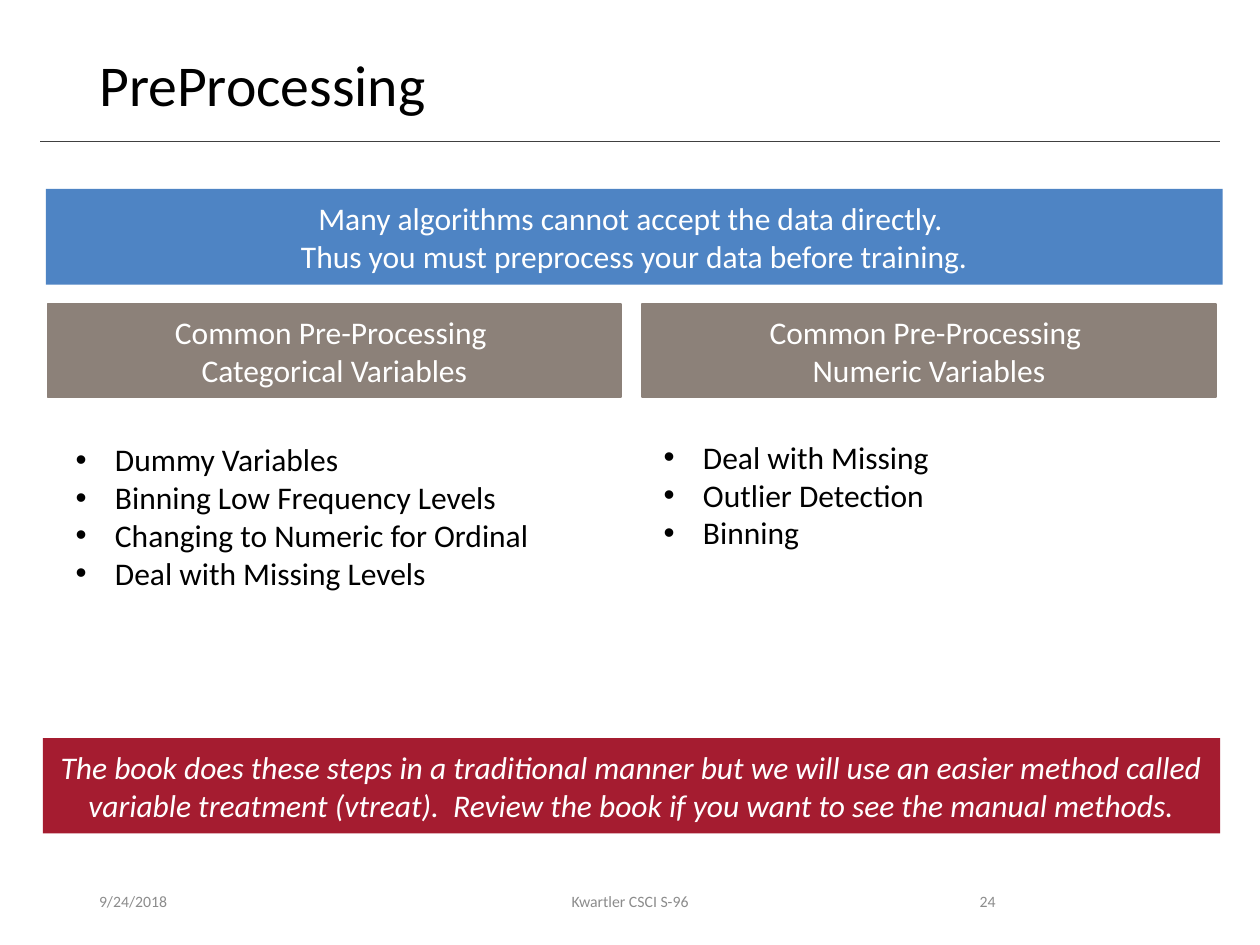
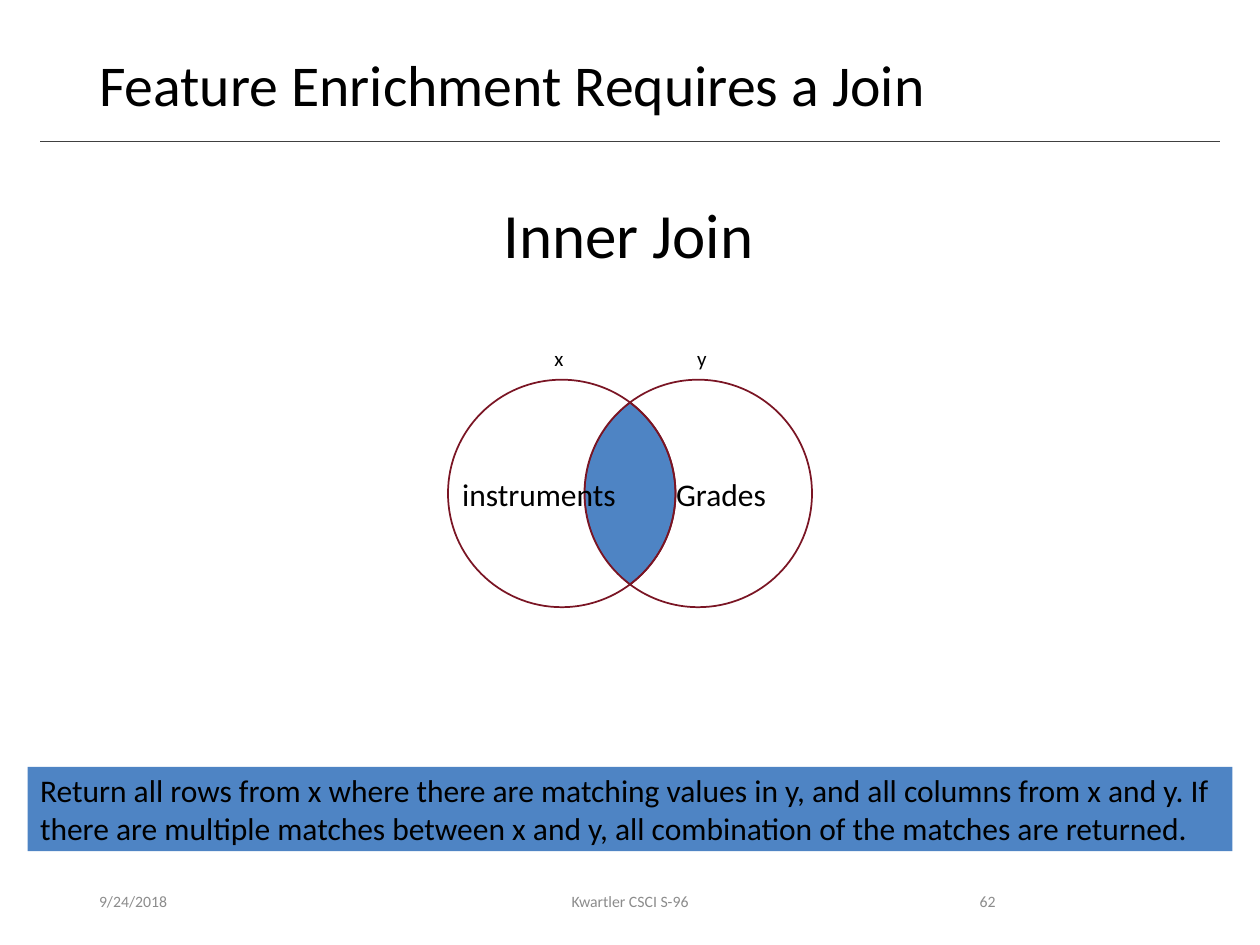
from dataclasses import dataclass
from math import acos, cos, pi, sin, tan
from typing import Any

from lxml.etree import SubElement
from pptx import Presentation
from pptx.dml.color import RGBColor
from pptx.enum.shapes import MSO_CONNECTOR as Wire, MSO_SHAPE as Form
from pptx.enum.text import MSO_ANCHOR as Anchor, MSO_AUTO_SIZE as Fit, PP_ALIGN as Align
from pptx.oxml.ns import qn
from pptx.slide import Slide
from pptx.util import Pt

# Shared look
FONT = "Calibri"
BLACK, WHITE = "000000", "FFFFFF"
BLUE, RED, TAUPE = "4E84C4", "A51C30", "8C8179"
WINE, GREY, RULE = "7A1524", "8C8C8C", "404040"
FRAME = {"auto_size": Fit.NONE, "word_wrap": True, "vertical_anchor": Anchor.TOP,
         "margin_left": Pt(7.2), "margin_right": Pt(7.2),
         "margin_top": Pt(3.6), "margin_bottom": Pt(3.6)}
PARA = {"alignment": Align.LEFT, "space_before": Pt(0), "space_after": Pt(0)}
TIGHT = {"margin_left": 0, "margin_right": 0}


@dataclass
class Box:
    x: float
    y: float
    w: float
    h: float


@dataclass
class Look:
    size: float = 18
    ink: str = BLACK
    align: Align = Align.LEFT
    anchor: Anchor = Anchor.MIDDLE
    italic: bool = False
    lead: float = 1.0
    bullet: bool = False


@dataclass
class Band:
    box: Box
    lines: list[str]
    fill: str
    look: Look
    edge: str | None = None


@dataclass
class Arc:
    side: int
    angles: list[float]


MID = Look(ink=WHITE, align=Align.CENTER)
TITLE = Look(33, anchor=Anchor.TOP, lead=0.9)
LIST = Look(anchor=Anchor.TOP, bullet=True)
FEET = [(49.5, 162, Align.LEFT), (238.5, 243, Align.CENTER), (508.5, 67.5, Align.RIGHT)]


# Helpers
def apply(item: Any, values: dict[str, Any]) -> None:
    for name, value in values.items():
        setattr(item, name, value)


def color(text: str) -> RGBColor:
    return RGBColor.from_string(text)


def place(shape: Any, box: Box) -> None:
    apply(shape, {"left": Pt(box.x), "top": Pt(box.y),
                  "width": Pt(box.w), "height": Pt(box.h)})


def paint(shape: Any, fill: str | None, edge: str | None = None) -> None:
    shape.shadow.inherit = False
    if fill:
        shape.fill.solid()
        shape.fill.fore_color.rgb = color(fill)
    else:
        shape.fill.background()
    if edge:
        shape.line.color.rgb = color(edge)
        shape.line.width = Pt(1)
    else:
        shape.line.fill.background()


def dot(para: Any) -> None:
    props = para._p.get_or_add_pPr()
    props.set("marL", str(Pt(22.5)))
    props.set("indent", str(-Pt(22.5)))
    SubElement(props, qn("a:buFont"), typeface="Arial")
    SubElement(props, qn("a:buChar"), char="•")


def write(shape: Any, lines: list[str], look: Look, **extra: Any) -> None:
    frame = shape.text_frame
    apply(frame, FRAME | {"vertical_anchor": look.anchor} | extra)
    for i, line in enumerate(lines):
        para = frame.add_paragraph() if i else frame.paragraphs[0]
        apply(para, PARA | {"alignment": look.align, "line_spacing": look.lead})
        if look.bullet:
            dot(para)
        run = para.add_run()
        run.text = line
        apply(run.font, {"name": FONT, "size": Pt(look.size), "italic": look.italic})
        run.font.color.rgb = color(look.ink)


def label(shapes: Any, box: Box, text: str, look: Look) -> None:
    shape = shapes.add_textbox(Pt(box.x), Pt(box.y), Pt(box.w), Pt(box.h))
    write(shape, [text], look)


def draw(slide: Slide, band: Band) -> None:
    shape = slide.shapes.add_shape(Form.RECTANGLE, 0, 0, 0, 0)
    place(shape, band.box)
    paint(shape, band.fill, band.edge)
    write(shape, band.lines, band.look)


def start(deck: Any, layout: int, title: str, page: int) -> Slide:
    slide = deck.slides.add_slide(deck.slide_layouts[layout])
    place(slide.shapes.title, Box(49.5, 28.8, 621, 46.8))
    write(slide.shapes.title, [title], TITLE)
    # Rule under the title
    rule = slide.shapes.add_connector(Wire.STRAIGHT, Pt(23), Pt(80.8), Pt(697), Pt(80.8))
    rule.line.color.rgb = color(RULE)
    rule.line.width = Pt(0.5)
    SubElement(rule._element.spPr, qn("a:effectLst"))
    # Footer
    for (x, w, align), text in zip(FEET, ["9/24/2018", "Kwartler CSCI S-96", str(page)]):
        label(slide.shapes, Box(x, 500.5, w, 28.8), text, Look(9, GREY, align))
    return slide


# Venn diagram: two circles, each half the gap away from the middle
RAD, HALF, MIDX, MIDY = 65, 39, 360, 282
TURN = acos(HALF / RAD)
INNER = {-1: Arc(-1, [-TURN, 0, TURN]), 1: Arc(1, [pi - TURN, pi, pi + TURN])}
OUTER = {-1: Arc(-1, [TURN, pi / 2, pi, 3 * pi / 2, 2 * pi - TURN]),
         1: Arc(1, [pi + TURN, 3 * pi / 2, 2 * pi, 5 * pi / 2, 3 * pi - TURN])}


def flip(arc: Arc) -> Arc:
    return Arc(arc.side, arc.angles[::-1])


def point(side: int, angle: float, pull: float = 0) -> tuple[int, int]:
    """Point on a circle, moved along the tangent by pull radii."""
    x = cos(angle) - pull * sin(angle)
    y = sin(angle) + pull * cos(angle)
    return Pt(MIDX + side * HALF + RAD * x), Pt(MIDY + RAD * y)


def curves(arc: Arc) -> list[list[tuple[int, int]]]:
    """Two handles and an end point for each step of the arc."""
    found = []
    for a, b in zip(arc.angles, arc.angles[1:]):
        pull = 4 / 3 * tan((b - a) / 4)
        found.append([point(arc.side, a, pull), point(arc.side, b, -pull),
                      point(arc.side, b)])
    return found


def region(shapes: Any, arcs: list[Arc], fill: str | None, text: str) -> None:
    steps = [step for arc in arcs for step in curves(arc)]
    build = shapes.build_freeform(*point(arcs[0].side, arcs[0].angles[0]))
    build.add_line_segments([step[-1] for step in steps], close=True)
    shape = build.convert_to_shape()
    # Bend each straight side
    sides = list(shape._element.iter(qn("a:lnTo")))
    for side, step in zip(sides, steps):
        side.tag = qn("a:cubicBezTo")
        side.remove(side[0])
        for x, y in step:
            SubElement(side, qn("a:pt"), x=str(x - shape.left), y=str(y - shape.top))
    paint(shape, fill, WINE)
    if text:
        write(shape, [text], Look(align=Align.CENTER), **TIGHT)


def venn(slide: Slide) -> None:
    shapes = slide.shapes.add_group_shape().shapes
    region(shapes, [INNER[-1], INNER[1]], BLUE, "")
    region(shapes, [OUTER[-1], flip(INNER[1])], WHITE, "instruments")
    region(shapes, [OUTER[1], flip(INNER[-1])], None, "Grades")
    for x, name in [(391.3, "y"), (309.8, "x")]:
        label(shapes, Box(x, 194, 20, 21.6), name, Look(12, anchor=Anchor.TOP))


# Slides
def prep(deck: Any) -> None:
    slide = start(deck, 3, "PreProcessing", 24)
    draw(slide, Band(Box(26.2, 108, 672.5, 54.7),
                     ["Many algorithms cannot accept the data directly. ",
                      "Thus you must preprocess your data before training."], BLUE, MID))
    for i, kind in enumerate(["Categorical", "Numeric"]):
        draw(slide, Band(Box(27.2 + 339.8 * i, 173.6, 327.8, 53.5),
                         ["Common Pre-Processing ", f"{kind} Variables"],
                         TAUPE, MID, TAUPE))
    lists = [(Box(36, 248.1, 300, 94.3),
              ["Dummy Variables", "Binning Low Frequency Levels",
               "Changing to Numeric for Ordinal", "Deal with Missing Levels"]),
             (Box(372, 246.6, 300, 72.7),
              ["Deal with Missing", "Outlier Detection", "Binning"])]
    for i, (box, lines) in enumerate(lists, 1):
        place(slide.placeholders[i], box)
        write(slide.placeholders[i], lines, LIST)
    draw(slide, Band(Box(24.5, 421.8, 672.7, 54.5),
                     ["The book does these steps in a traditional manner but we will use "
                      "an easier method called variable treatment (vtreat).  Review the "
                      "book if you want to see the manual methods."], RED,
                     Look(ink=WHITE, align=Align.CENTER, italic=True)))


def join(deck: Any) -> None:
    slide = start(deck, 5, "Feature Enrichment Requires a Join", 62)
    draw(slide, Band(Box(15.8, 438.3, 688.4, 48.2),
                     ["Return all rows from x where there are matching values in y, and all "
                      "columns from x and y. If there are multiple matches between x and y, "
                      "all combination of the matches are returned."], BLUE, Look()))
    venn(slide)
    label(slide.shapes, Box(280.5, 108, 159, 51), "Inner Join",
          Look(36, anchor=Anchor.TOP))


def main() -> None:
    deck = Presentation()
    apply(deck, {"slide_width": Pt(720), "slide_height": Pt(540)})
    prep(deck)
    join(deck)
    deck.save("out.pptx")


if __name__ == "__main__":
    main()
